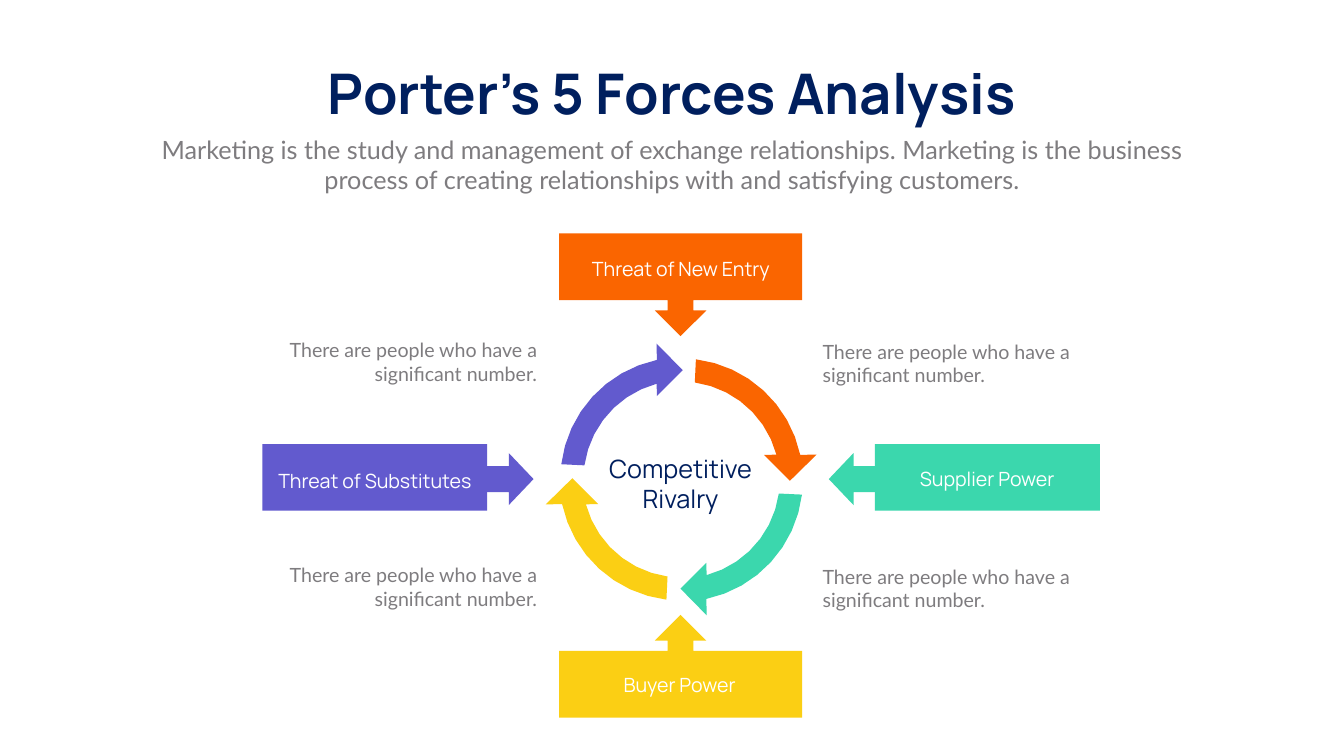
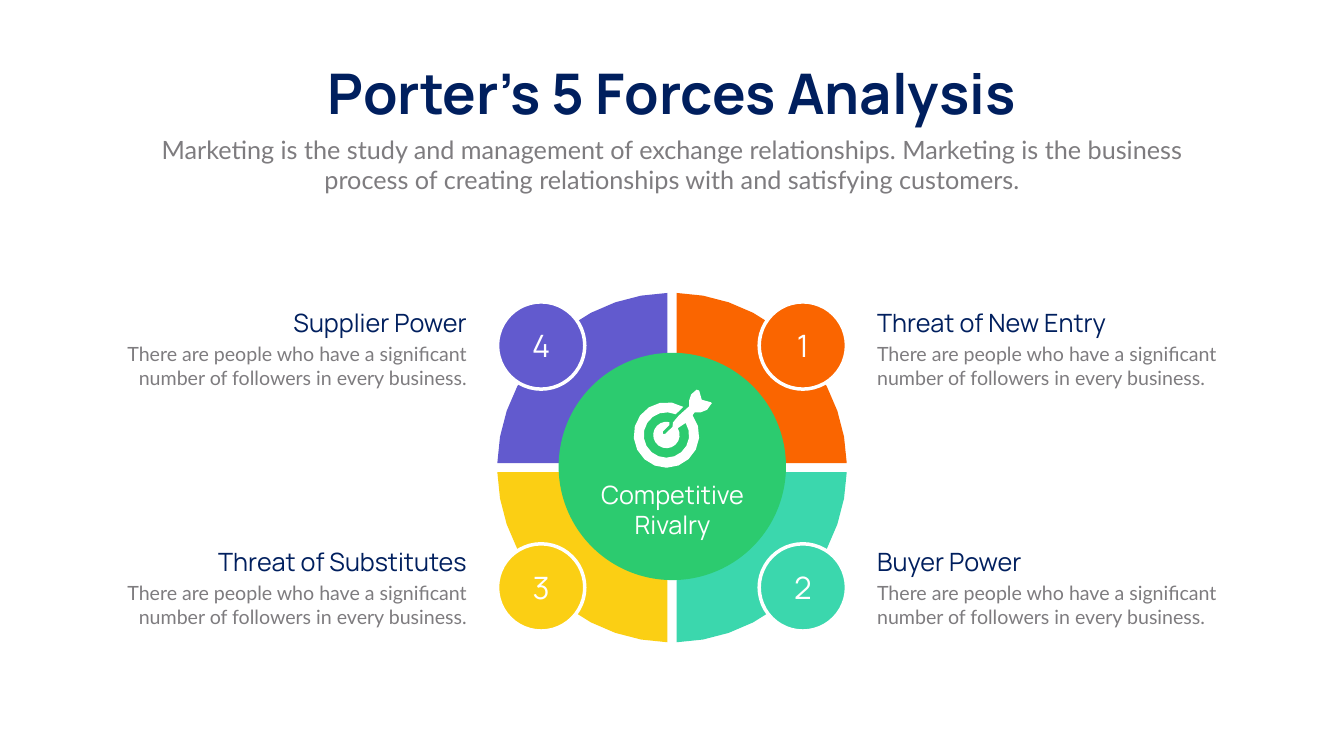
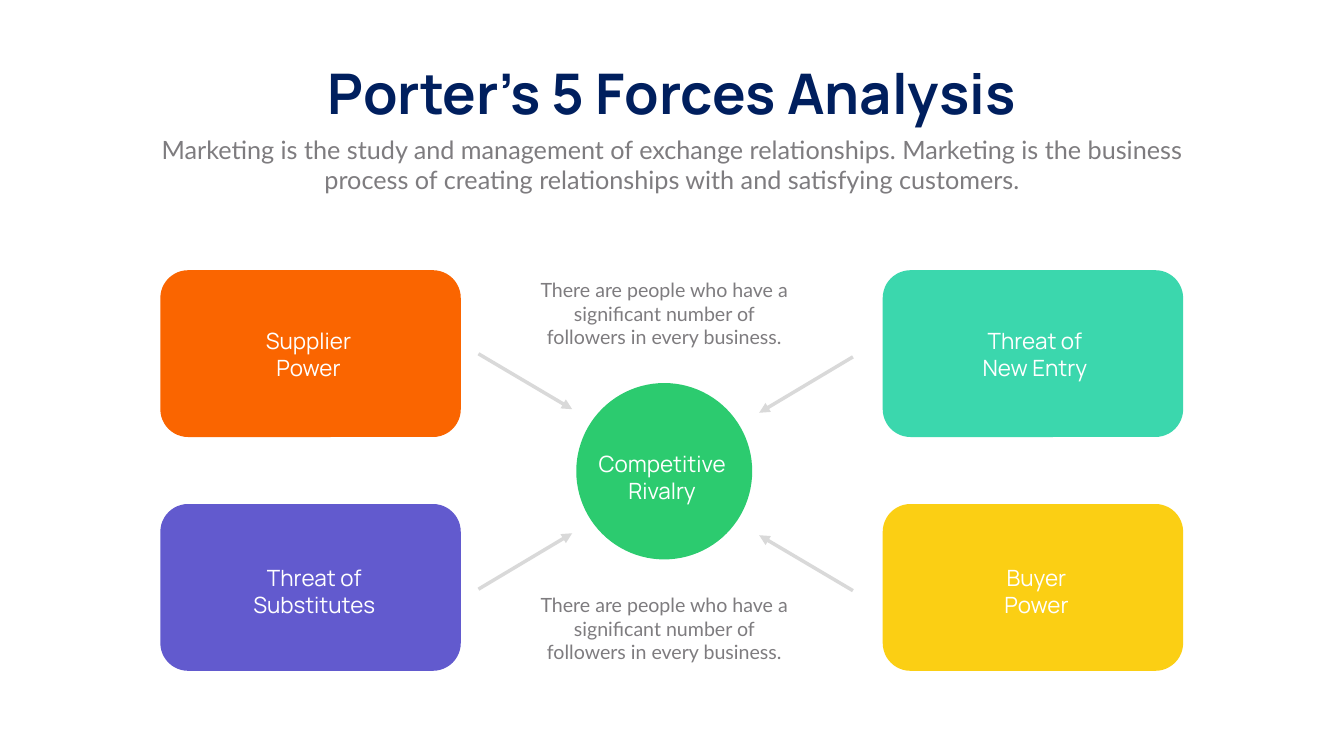
from math import atan2, cos, degrees, hypot, radians, sin

from lxml.etree import SubElement
from pptx import Presentation
from pptx.dml.color import RGBColor
from pptx.enum.shapes import MSO_CONNECTOR, MSO_SHAPE
from pptx.enum.text import MSO_ANCHOR, MSO_AUTO_SIZE, PP_ALIGN
from pptx.oxml.ns import qn
from pptx.util import Pt

NAVY, GRAY, WHITE, LIGHT_GRAY = "001F5E", "7E7C7F", "FFFFFF", "D9D9D9"
ORANGE, TEAL, YELLOW, PURPLE, GREEN = "FA6500", "3BD7AD", "FBCF14", "625ACE", "2CCB6F"
HEADING_FONT, BODY_FONT = "Manrope", "Lato"
LEFT, CENTER, RIGHT = PP_ALIGN.LEFT, PP_ALIGN.CENTER, PP_ALIGN.RIGHT

TITLE = "Porter’s 5 Forces Analysis"
SUBTITLE = ("Marketing is the study and management of exchange relationships. "
            "Marketing is the business process of creating relationships with "
            "and satisfying customers.")
SHORT_NOTE = "There are people who have a significant number."
LONG_NOTE = "There are people who have a significant number of followers in every business."


def write(box, text, size, color, font=HEADING_FONT, align=CENTER, middle=False, inset=True):
    """Fill a shape, text box or placeholder with one formatted paragraph."""
    frame = box.text_frame
    frame.text = text
    frame.word_wrap = True
    frame.auto_size = MSO_AUTO_SIZE.NONE
    frame.vertical_anchor = MSO_ANCHOR.MIDDLE if middle else MSO_ANCHOR.TOP
    frame.margin_left = frame.margin_right = Pt(7.2 if inset else 0)
    frame.margin_top = frame.margin_bottom = Pt(3.6 if inset else 0)
    paragraph = frame.paragraphs[0]
    paragraph.alignment = align
    paragraph.font.name = font
    paragraph.font.size = Pt(size)
    paragraph.font.color.rgb = RGBColor.from_string(color)


def draw(page, form, color, left, top, width=0, height=0):
    """Draw a preset, or an outline of (radius, degrees) pairs around (left, top)."""
    if isinstance(form, list):
        points = [(Pt(left + radius * cos(radians(angle))), Pt(top + radius * sin(radians(angle))))
                  for radius, angle in form]
        builder = page.shapes.build_freeform(*points[0])
        builder.add_line_segments(points[1:])
        shape = builder.convert_to_shape()
    else:
        shape = page.shapes.add_shape(form, Pt(left), Pt(top), Pt(width), Pt(height))
    shape.shadow.inherit = False
    shape.fill.solid()
    shape.fill.fore_color.rgb = RGBColor.from_string(color)
    shape.line.fill.background()
    return shape


deck = Presentation()
deck.slide_width, deck.slide_height = Pt(1919.5), Pt(1080)

pages = []
for _ in range(3):
    page = deck.slides.add_slide(deck.slide_layouts[5])
    title = page.shapes.title
    title.left, title.top, title.width, title.height = Pt(427), Pt(80.6), Pt(1065.6), Pt(104.4)
    write(title, TITLE, 80, NAVY)
    title.text_frame.word_wrap = False
    title.text_frame.paragraphs[0].font.bold = True
    subtitle = page.shapes.add_textbox(Pt(210.2), Pt(188), Pt(1499), Pt(94.3))
    write(subtitle, SUBTITLE, 36, GRAY, BODY_FONT)
    pages.append(page)
cycle_page, wheel_page, map_page = pages

# Slide 1: four curved arrows circling the rivalry, one force on each side
curved_arrow = ([(174, -83 + 71 / 8 * step) for step in range(9)]
                + [(197, -10.7), (155.5, 0.3), (124, -16.9)]
                + [(141, -15 - 67 / 7 * step) for step in range(8)])
for quarter, (color, center_x, center_y) in enumerate((
        (ORANGE, 972.7, 686), (TEAL, 972.7, 685.4), (YELLOW, 973, 684), (PURPLE, 974.3, 684.4))):
    turned = [(radius, angle + 90 * quarter) for radius, angle in curved_arrow]
    draw(cycle_page, turned, color, center_x, center_y)

draw(cycle_page, MSO_SHAPE.DOWN_ARROW_CALLOUT, ORANGE, 798.5, 333.4, 347, 146.9)
buyer_callout = draw(cycle_page, MSO_SHAPE.DOWN_ARROW_CALLOUT, YELLOW, 798.5, 878.4, 347, 146.9)
buyer_callout.rotation = 180
for color, bar_left, arrow, arrow_left in (
        (TEAL, 1249.5, MSO_SHAPE.LEFT_ARROW, 1183.7),
        (PURPLE, 374.6, MSO_SHAPE.RIGHT_ARROW, 691.4)):
    draw(cycle_page, MSO_SHAPE.RECTANGLE, color, bar_left, 634.6, 321.3, 95)
    draw(cycle_page, arrow, color, arrow_left, 647.3, 70.6, 74.2)

for text, left, top, width, height, size, color in (
        ("Competitive Rivalry", 853.2, 647.3, 237.6, 87.1, 36, NAVY),
        ("Threat of New Entry", 805, 366.5, 334.8, 33.8, 28, WHITE),
        ("Buyer Power", 815.8, 961.2, 309.6, 33.8, 28, WHITE),
        ("Supplier Power", 1255, 666.4, 309.6, 33.8, 28, WHITE),
        ("Threat of Substitutes", 339.1, 670.3, 392.4, 33.8, 28, WHITE)):
    label = cycle_page.shapes.add_textbox(Pt(left), Pt(top), Pt(width), Pt(height))
    write(label, text, size, color, middle=True, inset=False)

for left, align, tops in ((1167.8, LEFT, (481.4, 802.8)), (405, RIGHT, (479.5, 801))):
    for top in tops:
        note = cycle_page.shapes.add_textbox(Pt(left), Pt(top), Pt(369), Pt(74.9))
        write(note, SHORT_NOTE, 28, GRAY, BODY_FONT, align)

# Slide 2: numbered wheel, clockwise from the upper right
forces = (("Threat of New Entry", ORANGE, 385.2), ("Buyer Power", TEAL, 385.2),
          ("Threat of Substitutes", YELLOW, 495.4), ("Supplier Power", PURPLE, 385.2))
half_gap, wheel_radius = 6.5, 249.6
for quarter, (_, color, _) in enumerate(forces):
    start = 90 * quarter - 90
    sector = [(wheel_radius, start + 1.5 + 8.7 * step) for step in range(11)]
    sector.append((hypot(half_gap, half_gap), start + 45))
    draw(wheel_page, sector, color, 959.8, 668)

draw(wheel_page, MSO_SHAPE.OVAL, GREEN, 797.8, 504, 324.7, 324.7)
dart_fletching = [(49, -32.4), (58, -36), (64.8, -45.4), (63.4, -46.8), (50.4, -50.4),
                  (46.8, -63.4), (43.2, -64.8), (35.3, -58), (32.4, -49), (32.4, -41)]
dart_tip = [(17.3, -27.4), (9.4, -18), (8.6, -11.5), (-2, -1.4), (-5, -1.4), (-5, -5),
            (4.3, -14.4)]
target = [(hypot(x, y), degrees(atan2(y, x))) for x, y in dart_fletching + dart_tip]
for radius, start, sweep in ((18.9, -77, -314), (32.4, -32, 326), (46.8, -59, -338)):
    target += [(radius, start + sweep * step / 16) for step in range(17)]
target.append((51.7, -38.8))
draw(wheel_page, target, WHITE, 951.8, 621.4)
rivalry = wheel_page.shapes.add_textbox(Pt(841.7), Pt(684), Pt(237.6), Pt(87.1))
write(rivalry, "Competitive Rivalry", 36, WHITE, middle=True, inset=False)

for index, (name, color, heading_width) in enumerate(forces):
    on_right, on_top = index < 2, index in (0, 3)
    badge = draw(wheel_page, MSO_SHAPE.OVAL, color, 1084.3 if on_right else 710.6,
                 431.3 if on_top else 776.9, 124.6, 124.6)
    badge.line.color.rgb = RGBColor.from_string(WHITE)
    badge.line.width = Pt(5)
    write(badge, str(index + 1), 44, WHITE, middle=True)
    heading_top = 436 if on_top else 777.4
    for text, offset, width, height, size, text_color, font in (
            (name, 0, heading_width, 51.1, 36, NAVY, HEADING_FONT),
            (LONG_NOTE, 49.2, 545.8, 74.9, 28, GRAY, BODY_FONT)):
        left = 1245.6 if on_right else 673.6 - width
        box = wheel_page.shapes.add_textbox(Pt(left), Pt(heading_top + offset),
                                            Pt(width), Pt(height))
        write(box, text, size, text_color, font, LEFT if on_right else RIGHT)

# Slide 3: four cards pointing at the rivalry
for color, left, top in ((ORANGE, 229, 386), (PURPLE, 229, 720),
                         (TEAL, 1260.7, 386), (YELLOW, 1260.7, 720)):
    draw(map_page, MSO_SHAPE.ROUNDED_RECTANGLE, color, left, top, 429.1, 238.3)

for ends in ((683.3, 505.4, 817.2, 584.6), (1218.2, 509.8, 1084.3, 589.7),
             (683.3, 841.7, 817.2, 761.8), (1218.2, 843.8, 1084.3, 764.6)):
    arrow = map_page.shapes.add_connector(MSO_CONNECTOR.STRAIGHT, *map(Pt, ends))
    arrow.line.color.rgb = RGBColor.from_string(LIGHT_GRAY)
    arrow.line.width = Pt(5)
    properties = arrow._element.spPr
    SubElement(properties.find(qn("a:ln")), qn("a:tailEnd"), type="triangle")
    SubElement(properties, qn("a:effectLst"))

draw(map_page, MSO_SHAPE.OVAL, GREEN, 823, 547.2, 251.3, 252)
for text, left, top, width in (
        ("Competitive Rivalry", 817.2, 642.2, 257), ("Buyer Power", 1423.4, 805.7, 113.8),
        ("Supplier Power", 339.1, 466.6, 203), ("Threat of New Entry", 1396.8, 467.3, 162.7),
        ("Threat of Substitutes", 320.4, 805.7, 257)):
    label = map_page.shapes.add_textbox(Pt(left), Pt(top), Pt(width), Pt(77.8))
    write(label, text, 32, WHITE, middle=True, inset=False)

for top in (393.8, 844):
    note = map_page.shapes.add_textbox(Pt(753.1), Pt(top), Pt(391), Pt(108.7))
    write(note, LONG_NOTE, 28, GRAY, BODY_FONT)

deck.save("out.pptx")
